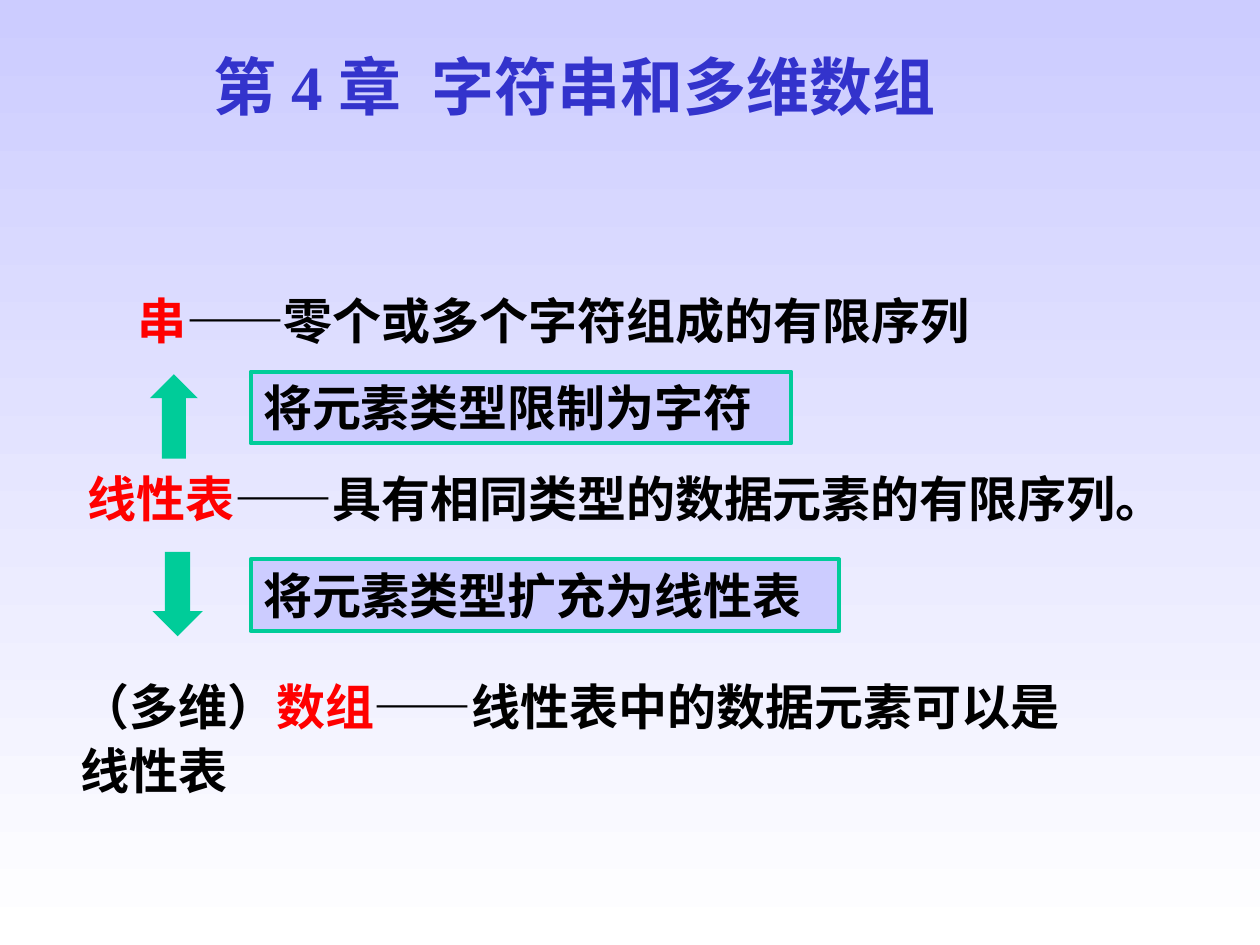
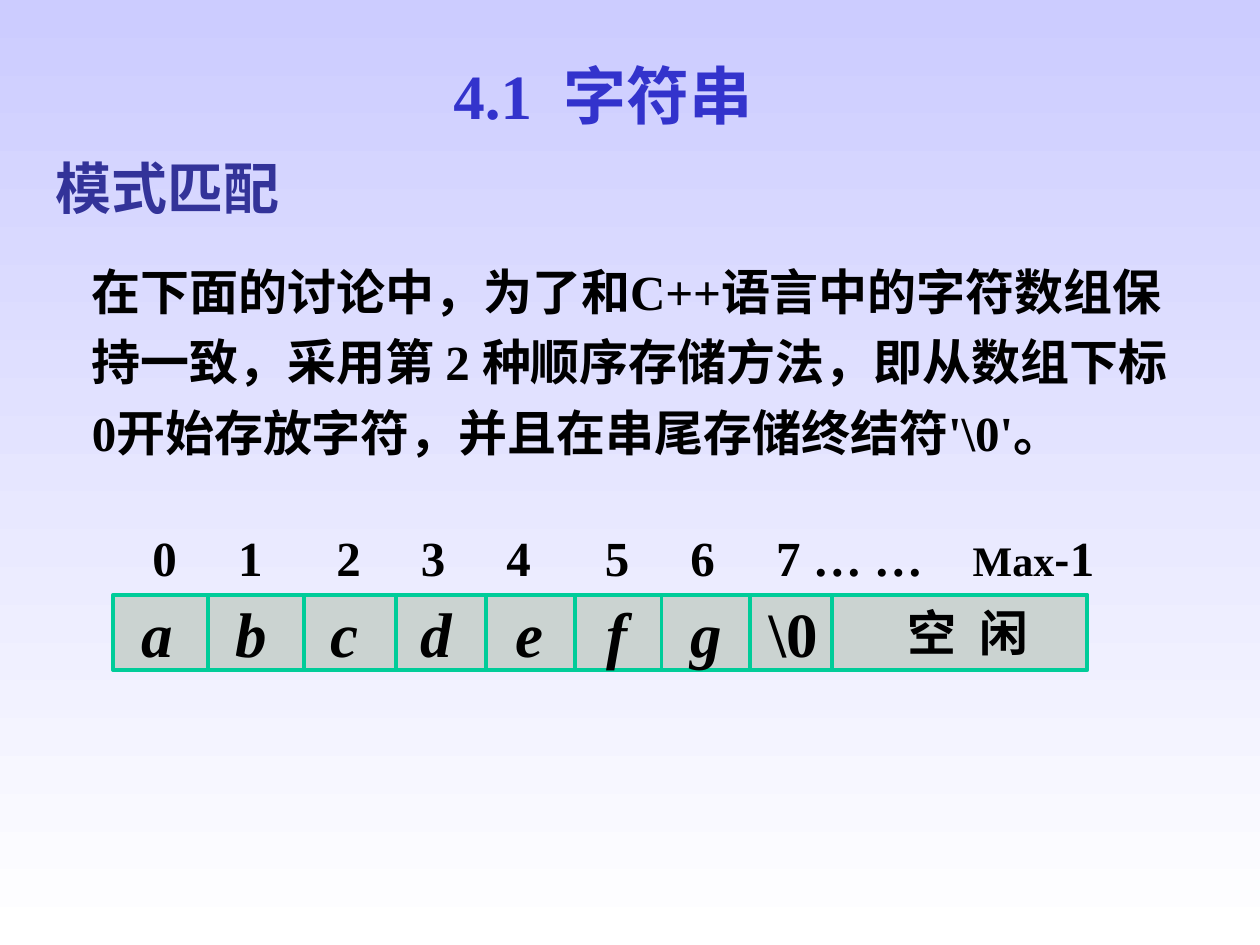
from dataclasses import dataclass
from lxml.etree import SubElement as Sub
from pptx import Presentation
from pptx.dml.color import RGBColor
from pptx.enum.shapes import MSO_CONNECTOR, MSO_SHAPE
from pptx.enum.text import MSO_ANCHOR, PP_ALIGN
from pptx.oxml.ns import qn
from pptx.util import Inches, Pt


@dataclass(frozen=True)
class Theme:
    sky: str = "CCCCFF"
    white: str = "FFFFFF"
    title: str = "3333CC"
    heading: str = "333399"
    ink: str = "000000"
    key: str = "FF0000"
    green: str = "00CC99"
    cell: str = "CBD3D1"
    shadow: str = "808080"
    serif: str = "Times New Roman"
    sans: str = "Arial"
    cjk: str = "Noto Sans CJK SC"
    big: int = 36
    head: int = 32
    body: int = 28
    small: int = 24
    line: float = 2.25


T = Theme()
KEY = dict(color=T.key)
DASH = ("——", dict(font=T.cjk))
GAP_BIG = (" ", dict(spc=9))
GAP_BODY = (" ", dict(spc=7))

CHAPTER = ["第 4 章", GAP_BIG, "字符串和多维数组"]
SECTION = ["4.1", GAP_BIG, "字符串"]
DEFINITIONS = [
    ((0.99, 2.26, 7.65, 0.57), 1.0,
     [("串", dict(font=T.cjk, **KEY)), DASH, ("零个或多个字符组成的有限序列", dict(font=T.cjk))]),
    ((0.6, 3.67, 8.84, 0.57), 1.0,
     [("线性表", KEY), DASH, "具有相同类型的数据元素的有限序列。"]),
    ((0.54, 5.27, 8.16, 1.13), 1.1,
     ["（多维）", ("数组", KEY), DASH, "线性表中的数据元素可以是线性表"]),
]
RULES = [
    ("将元素类型限制为字符", (1.99, 2.95, 4.29, 0.57), MSO_SHAPE.UP_ARROW, (1.19, 2.97, 0.38, 0.67)),
    ("将元素类型扩充为线性表", (1.99, 4.44, 4.67, 0.57), MSO_SHAPE.DOWN_ARROW, (1.21, 4.38, 0.4, 0.67)),
]
HEADING = "模式匹配"
STORAGE = ("在下面的讨论中，为了和C++语言中的字符数组保持一致，采用第 2 种顺序存储方法，"
           "即从数组下标0开始存放字符，并且在串尾存储终结符'\\0'。")
INDEXES = ["\t".join("01234567") + " … …\t", ("Max", dict(size=T.small)),
           ("-", dict(size=T.small, font=T.cjk)), "1"]
INDEX_TABS = [0.68, 1.46, 2.13, 2.81, 3.59, 4.27, 4.95, 6.51]
LETTERS = ["\t".join("abcdefg") + "\t", ("\\0", dict(italic=False))]
LETTER_TABS = [0.75, 1.5, 2.22, 2.97, 3.69, 4.36, 4.98]
FREE = ["空", GAP_BODY, "闲"]
ARRAY = (0.9, 4.72, 7.73, 0.6)
DIVIDERS = [1.65, 2.41, 3.14, 3.86, 4.56, 5.25, 5.95, 6.6]


def rgb(value):
    return RGBColor.from_string(value)


def add_run(p, text, size, font, color, italic=False, spc=0, shadow=False):
    r = p.add_run()
    r.text = text
    f = r.font
    f.size, f.bold, f.italic = Pt(size), True, italic
    f.color.rgb = rgb(color)
    rPr = f._element
    if spc:
        rPr.set("spc", str(spc * 100))
    if shadow:
        fx = Sub(Sub(rPr, qn("a:effectLst")), qn("a:outerShdw"), dist="38100", dir="2700000")
        Sub(fx, qn("a:srgbClr"), val=T.shadow)
    f.name = font
    Sub(rPr, qn("a:ea"), typeface=T.cjk)


def write(sp, text, align=PP_ALIGN.LEFT, anchor=MSO_ANCHOR.TOP, inset=(0.1, 0.05, 0.1, 0.05),
          spacing=1.0, tabs=(), size=T.body, font=T.serif, color=T.ink, **fmt):
    tf = sp.text_frame
    tf.word_wrap, tf.vertical_anchor = True, anchor
    tf.margin_left, tf.margin_top, tf.margin_right, tf.margin_bottom = map(Inches, inset)
    p = tf.paragraphs[0]
    p.alignment, p.line_spacing = align, spacing
    if tabs:
        stops = Sub(p._p.get_or_add_pPr(), qn("a:tabLst"))
        for x in tabs:
            Sub(stops, qn("a:tab"), pos=str(Inches(x)), algn="l")
    base = dict(size=size, font=font, color=color, **fmt)
    for part in [text] if isinstance(text, str) else text:
        words, own = (part, {}) if isinstance(part, str) else part
        add_run(p, words, **{**base, **own})


def add_text(s, at, text, **fmt):
    write(s.shapes.add_textbox(*map(Inches, at)), text, **fmt)


def add_title(s, at, text, **fmt):
    add_text(s, at, text, size=T.big, color=T.title, shadow=True, **fmt)


def add_box(s, kind, at, fill, line=None):
    sp = s.shapes.add_shape(kind, *map(Inches, at))
    sp.shadow.inherit = False
    sp.fill.solid()
    sp.fill.fore_color.rgb = rgb(fill)
    if line:
        sp.line.color.rgb, sp.line.width = rgb(line), Pt(T.line)
    else:
        sp.line.fill.background()
    return sp


def add_divider(s, x, top, bottom):
    c = s.shapes.add_connector(MSO_CONNECTOR.STRAIGHT, *map(Inches, (x, top, x, bottom)))
    c.line.color.rgb, c.line.width = rgb(T.green), Pt(T.line)
    Sub(c._element.spPr, qn("a:effectLst"))


def set_background(prs):
    fill = prs.slide_master.background.fill
    fill.gradient()
    fill.gradient_angle = 270
    for stop, color in zip(fill.gradient_stops, (T.sky, T.white)):
        stop.color.rgb = rgb(color)


def chapter_slide(s):
    add_title(s, (1.6, 0.33, 6.23, 0.7), CHAPTER)
    for at, spacing, text in DEFINITIONS:
        add_text(s, at, text, font=T.sans, spacing=spacing)
    for text, at, kind, arrow_at in RULES:
        write(add_box(s, MSO_SHAPE.RECTANGLE, at, T.sky, T.green), text, font=T.sans)
        add_box(s, kind, arrow_at, T.green)


def string_slide(s):
    add_title(s, (2.93, 0.4, 3.71, 0.7), SECTION, align=PP_ALIGN.CENTER)
    add_text(s, (0.34, 1.17, 8.17, 0.64), HEADING, size=T.head, font=T.cjk, color=T.heading)
    add_text(s, (0.63, 1.93, 8.92, 1.78), STORAGE, spacing=1.2)
    add_text(s, (1.19, 4.18, 7.66, 0.47), INDEXES, inset=(0.02, 0.01, 0.02, 0.01), tabs=INDEX_TABS)
    row = add_box(s, MSO_SHAPE.RECTANGLE, ARRAY, T.cell, T.green)
    write(row, LETTERS, anchor=MSO_ANCHOR.MIDDLE, inset=(0.22, 0.05, 0.1, 0.05),
          tabs=LETTER_TABS, size=T.big, italic=True)
    top, height = ARRAY[1], ARRAY[3]
    for x in DIVIDERS:
        add_divider(s, x, top, top + height)
    add_text(s, (7.05, 4.74, 1.26, 0.51), FREE, align=PP_ALIGN.CENTER, inset=(0.1, 0.04, 0.1, 0))


def main():
    prs = Presentation()
    prs.slide_width, prs.slide_height = Inches(10), Inches(7.5)
    set_background(prs)
    for build in (chapter_slide, string_slide):
        build(prs.slides.add_slide(prs.slide_layouts[6]))
    prs.save("out.pptx")


if __name__ == "__main__":
    main()
